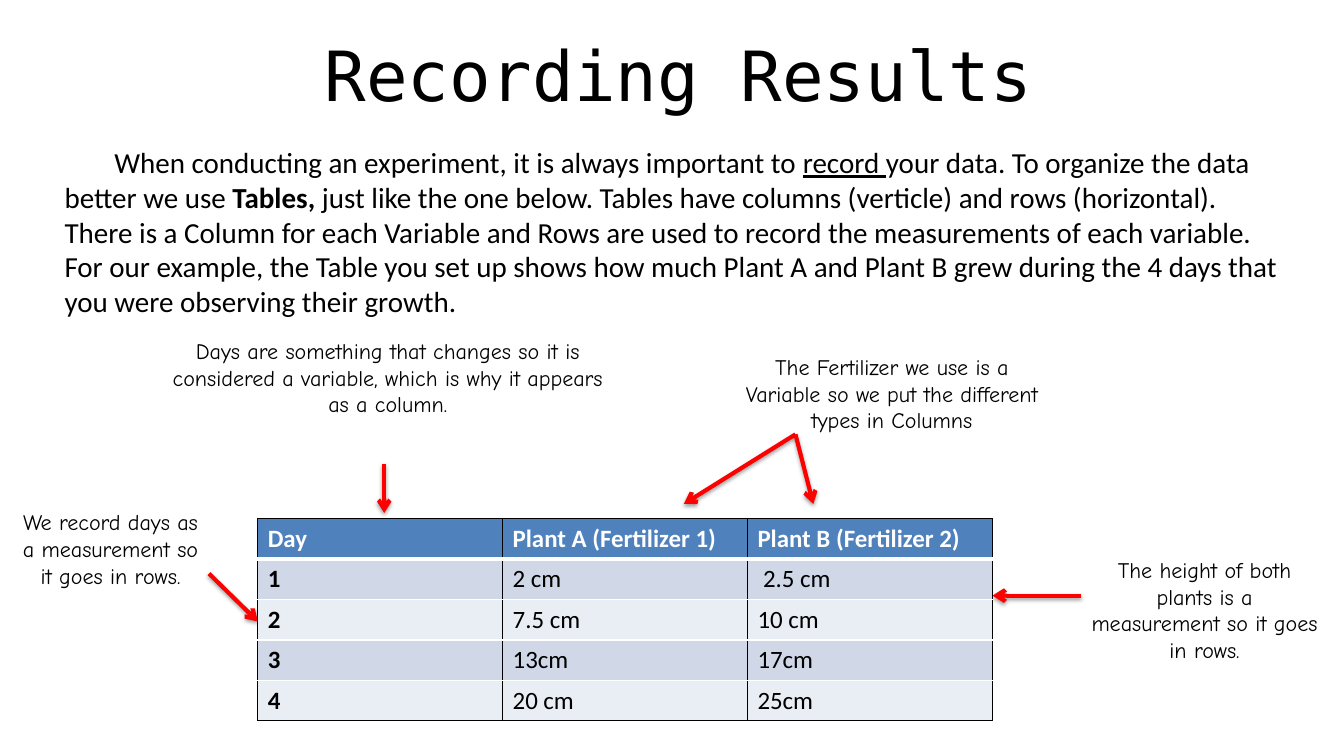
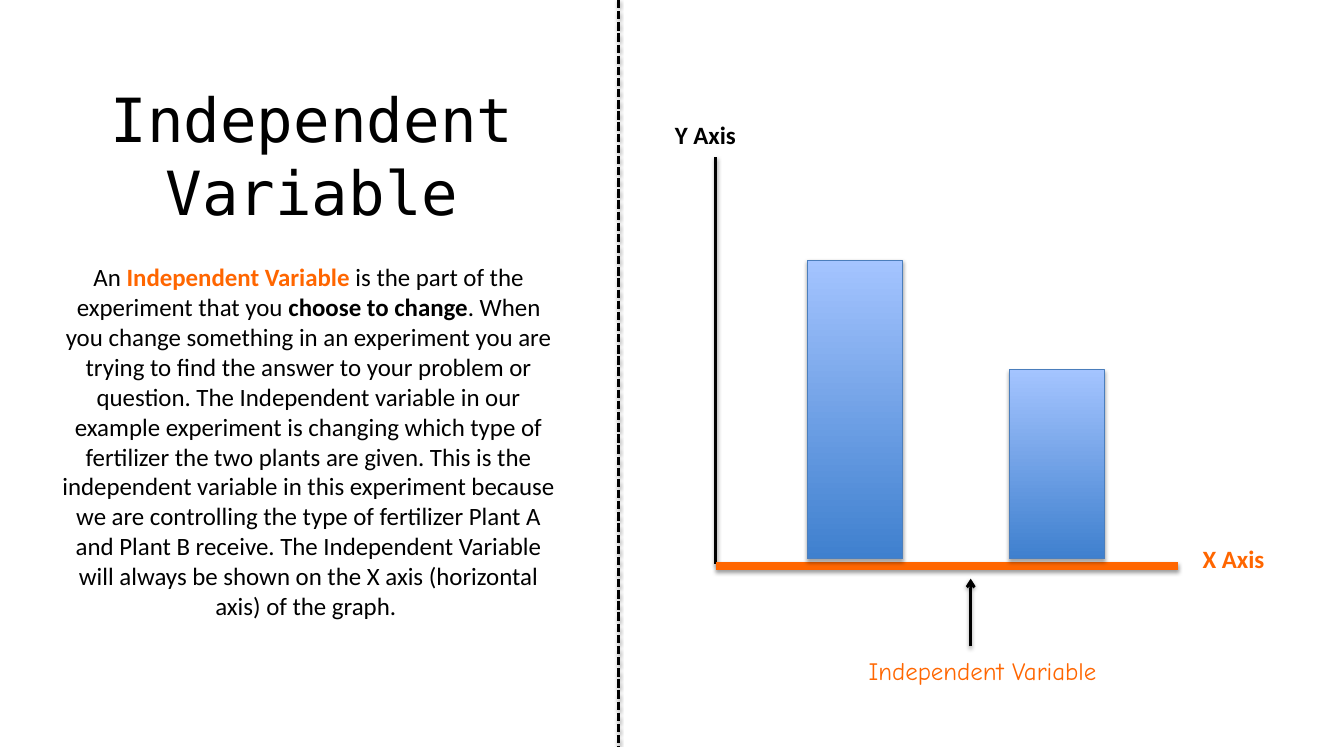
from dataclasses import dataclass
from typing import Optional

from lxml.etree import SubElement
from pptx import Presentation
from pptx.dml.color import RGBColor
from pptx.enum.dml import MSO_LINE
from pptx.enum.shapes import MSO_CONNECTOR, MSO_SHAPE
from pptx.enum.text import MSO_ANCHOR, PP_ALIGN
from pptx.oxml.ns import qn
from pptx.util import Pt

BLACK = RGBColor(0x00, 0x00, 0x00)
WHITE = RGBColor(0xFF, 0xFF, 0xFF)
RED = RGBColor(0xFF, 0x00, 0x00)
ORANGE = RGBColor(0xFF, 0x66, 0x00)
HEADER_BLUE = RGBColor(0x4F, 0x81, 0xBD)
ROW_TINTS = (RGBColor(0xE9, 0xED, 0xF4), RGBColor(0xD0, 0xD8, 0xE8))
BAR_DARK = RGBColor(0x3F, 0x80, 0xCE)
BAR_LIGHT = RGBColor(0xA4, 0xC4, 0xFF)
BAR_EDGE = RGBColor(0x4B, 0x7E, 0xBC)

LEFT, CENTER = PP_ALIGN.LEFT, PP_ALIGN.CENTER
TOP, MIDDLE = MSO_ANCHOR.TOP, MSO_ANCHOR.MIDDLE
STRAIGHT = MSO_CONNECTOR.STRAIGHT
RECTANGLE = MSO_SHAPE.RECTANGLE
DASHED = MSO_LINE.SQUARE_DOT

BODY_FONT, NOTE_FONT, TITLE_FONT = "Calibri", "Comic Neue", "DejaVu Sans Mono"
SLIDE_WIDTH, SLIDE_HEIGHT = 972, 540


@dataclass(frozen=True)
class Span:
    text: str
    color: RGBColor = BLACK
    bold: bool = False
    underline: bool = False


@dataclass(frozen=True)
class TextBox:
    at: tuple[float, float, float, float]
    spans: tuple[Span, ...]
    size: float
    font: str = BODY_FONT
    align: PP_ALIGN = CENTER
    anchor: MSO_ANCHOR = TOP
    indent: float = 0


@dataclass(frozen=True)
class Line:
    start: tuple[float, float]
    end: tuple[float, float]
    color: RGBColor = BLACK
    width: float = 2
    arrow: bool = False
    dash: Optional[MSO_LINE] = None


def title(at: tuple, text: str, size: float) -> TextBox:
    return TextBox(at, (Span(text),), size, TITLE_FONT, anchor=MIDDLE)


def note(at: tuple, text: str, size: float = 16, color: RGBColor = BLACK) -> TextBox:
    return TextBox(at, (Span(text, color),), size, NOTE_FONT)


def red_arrow(start: tuple, end: tuple) -> Line:
    return Line(start, end, RED, 3, arrow=True)


def style_run(run, span: Span, size: float, font: str) -> None:
    run.font.name = font
    run.font.size = Pt(size)
    run.font.bold = span.bold
    run.font.underline = span.underline
    run.font.color.rgb = span.color


def draw_text(page, item: TextBox) -> None:
    box = page.shapes.add_textbox(*map(Pt, item.at))
    frame = box.text_frame
    frame.word_wrap = True
    frame.vertical_anchor = item.anchor
    para = frame.paragraphs[0]
    para.alignment = item.align
    if item.indent:
        para._p.get_or_add_pPr().set("indent", str(Pt(item.indent)))
    for span in item.spans:
        run = para.add_run()
        run.text = span.text
        style_run(run, span, item.size, item.font)


def add_shadow(effects, opacity: int, distance: float) -> None:
    """Fill an effect list with a soft shadow falling straight down."""
    shadow = SubElement(effects, qn("a:outerShdw"), blurRad=str(Pt(3.1)),
                        dist=str(Pt(distance)), dir="5400000", rotWithShape="0")
    color = SubElement(shadow, qn("a:srgbClr"), val=str(BLACK))
    SubElement(color, qn("a:alpha"), val=str(opacity * 1000))


def draw_line(page, item: Line) -> None:
    line = page.shapes.add_connector(STRAIGHT, *map(Pt, item.start + item.end))
    line.line.color.rgb = item.color
    line.line.width = Pt(item.width)
    if item.dash is not None:
        line.line.dash_style = item.dash
    properties = line._element.spPr
    if item.arrow:
        SubElement(properties.find(qn("a:ln")), qn("a:tailEnd"), type="arrow")
    add_shadow(SubElement(properties, qn("a:effectLst")), 38, 1.6)


def draw_bar(page, left: float, height: float) -> None:
    bar = page.shapes.add_shape(
        RECTANGLE, Pt(left), Pt(BAR_BASE - height), Pt(BAR_WIDTH), Pt(height))
    bar.fill.gradient()
    bar.fill.gradient_angle = 90
    for stop, color in zip(bar.fill.gradient_stops, (BAR_DARK, BAR_LIGHT)):
        stop.color.rgb = color
    bar.line.color.rgb = BAR_EDGE
    bar.line.width = Pt(0.75)
    bar.shadow.inherit = False
    add_shadow(bar._element.spPr.find(qn("a:effectLst")), 35, 1.8)


def set_border(cell, side: str, color: RGBColor, width: float) -> None:
    edge = SubElement(cell._tc.get_or_add_tcPr(), qn(f"a:ln{side}"), w=str(Pt(width)))
    fill = SubElement(edge, qn("a:solidFill"))
    SubElement(fill, qn("a:srgbClr"), val=str(color))


def draw_table(page, rows: tuple, left: float, top: float,
               column_width: float, row_height: float) -> None:
    last, columns = len(rows) - 1, len(rows[0])
    table = page.shapes.add_table(
        len(rows), columns, Pt(left), Pt(top),
        Pt(column_width * columns), Pt(row_height * len(rows))).table
    table.horz_banding = False
    for column in table.columns:
        column.width = Pt(column_width)
    for r, texts in enumerate(rows):
        table.rows[r].height = Pt(row_height)
        header = r == 0
        above = (BLACK, 1) if header else (WHITE, 3 if r == 1 else 1)
        below = (BLACK, 1) if r == last else (WHITE, 3 if header else 1)
        borders = {"L": (BLACK, 1), "R": (BLACK, 1), "T": above, "B": below}
        for c, text in enumerate(texts):
            cell = table.cell(r, c)
            for side, (color, width) in borders.items():
                set_border(cell, side, color, width)
            cell.fill.solid()
            cell.fill.fore_color.rgb = HEADER_BLUE if header else ROW_TINTS[r % 2]
            cell.text_frame.text = text
            span = Span(text, WHITE if header else BLACK, bold=header or c == 0)
            style_run(cell.text_frame.paragraphs[0].runs[0], span, 18, BODY_FONT)


# Recording Results
GROWTH_ROWS = (
    ("Day", "Plant A (Fertilizer 1)", "Plant B (Fertilizer 2)"),
    ("1", "2 cm", " 2.5 cm"),
    ("2", "7.5 cm", "10 cm"),
    ("3", "13cm", "17cm"),
    ("4", "20 cm", "25cm"),
)
RESULTS_TEXTS = (
    title((63.4, 19.4, 854.6, 67.7), "Recording Results", 50),
    TextBox((39.6, 100.8, 895.7, 134.6), (
        Span("When conducting an experiment, it is always important to "),
        Span("record ", underline=True),
        Span("your data. To organize the data better we use "),
        Span("Tables, ", bold=True),
        Span("just like the one below. Tables have columns (verticle) and rows "
             "(horizontal). There is a Column for each Variable and Rows are used "
             "to record the measurements of each variable. For our example, the "
             "Table you set up shows how much Plant A and Plant B grew during the "
             "4 days that you were observing their growth. "),
    ), 21, align=LEFT, indent=36),
    note((9.4, 364.3, 141.1, 104.4),
         "We record days as a measurement so it goes in rows."),
    note((781.2, 398.9, 180, 85),
         "The height of both plants is a measurement so it goes in rows."),
    note((526.3, 252, 237.6, 65.5),
         "The Fertilizer we use is a Variable so we put the different types in Columns"),
    note((115.2, 240.5, 330.5, 85),
         "Days are something that changes so it is considered a variable, "
         "which is why it appears as a column."),
)
RESULTS_ARROWS = (
    red_arrow((151.2, 414.7), (186.5, 449.3)),
    red_arrow((781.9, 430.6), (717.8, 430.6)),
    red_arrow((575.3, 314), (494.6, 364.3)),
    red_arrow((575.3, 314), (588.2, 364.3)),
    red_arrow((277.9, 335.5), (277.9, 370.8)),
)

# Independent Variable
AXIS_LEFT, AXIS_BOTTOM = 517.7, 409
BAR_BASE, BAR_WIDTH = 404, 69.1
BARS = ((583.9, 216), (730.1, 136.8))
VARIABLE_TEXTS = (
    title((35.3, 67, 380.9, 90), "Independent Variable", 44),
    TextBox((35.3, 185.8, 375.8, 290.9), (
        Span("An "),
        Span("Independent Variable ", ORANGE, bold=True),
        Span("is the part of the experiment that you "),
        Span("choose to change", bold=True),
        Span(". When you change something in an experiment you are trying to find "
             "the answer to your problem or question. The Independent variable in "
             "our example experiment is changing which type of fertilizer the two "
             "plants are given. This is the independent variable in this experiment "
             "because we are controlling the type of fertilizer Plant A and Plant B "
             "receive. The Independent Variable will always be shown on the X axis "
             "(horizontal axis) of the graph. "),
    ), 18),
    TextBox((461.5, 82.8, 97.2, 28.8), (Span("Y Axis", bold=True),), 18),
    TextBox((841, 389.5, 102.2, 28.8), (Span("X Axis", ORANGE, bold=True),), 18),
    note((583.9, 470.2, 253.4, 28.8), "Independent Variable", 18, ORANGE),
)
VARIABLE_LINES = (
    Line((AXIS_LEFT, 113.8), (AXIS_LEFT, 407.5)),
    Line((851.8, AXIS_BOTTOM), (AXIS_LEFT, AXIS_BOTTOM), ORANGE, 6),
    Line((702, 467.3), (702, 418.3), arrow=True),
    Line((447.1, 0), (447.1, SLIDE_HEIGHT), dash=DASHED),
)


def add_page(deck, texts: tuple, lines: tuple):
    page = deck.slides.add_slide(deck.slide_layouts[6])
    for item in texts:
        draw_text(page, item)
    for item in lines:
        draw_line(page, item)
    return page


def main() -> None:
    deck = Presentation()
    deck.slide_width, deck.slide_height = Pt(SLIDE_WIDTH), Pt(SLIDE_HEIGHT)
    results = add_page(deck, RESULTS_TEXTS, RESULTS_ARROWS)
    draw_table(results, GROWTH_ROWS, 186.5, 375.1, 177.1, 29.2)
    variable = add_page(deck, VARIABLE_TEXTS, VARIABLE_LINES)
    for left, height in BARS:
        draw_bar(variable, left, height)
    deck.save("out.pptx")


main()
